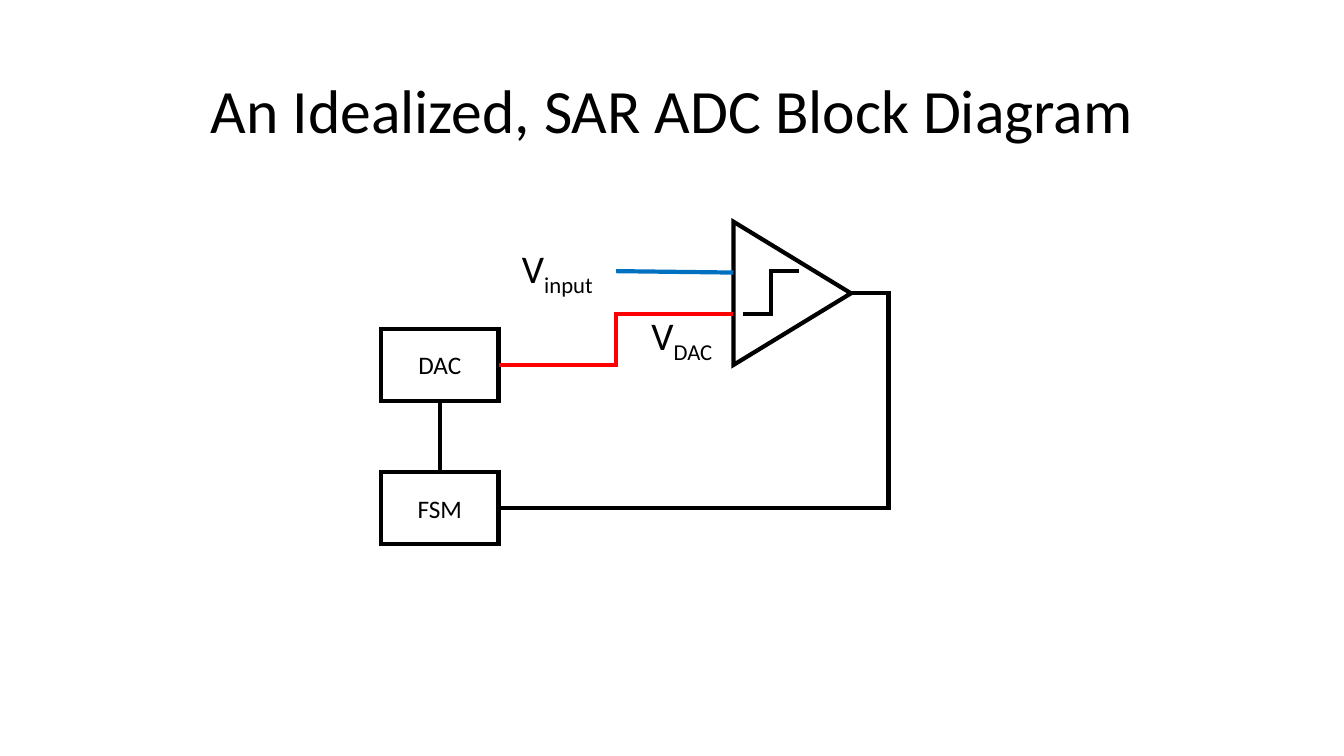
from pptx import Presentation
from pptx.dml.color import RGBColor
from pptx.enum.shapes import MSO_CONNECTOR, MSO_SHAPE
from pptx.enum.text import MSO_ANCHOR, PP_ALIGN
from pptx.oxml.ns import qn
from pptx.util import Inches, Pt
from lxml.etree import SubElement

COLORS = {"ink": "000000", "dac": "FF0000", "input": "0070C0"}
FONT = "Calibri"

# Diagram grid: one cell is the size of a block
LEFT, TOP = 3.78, 2.2
COL_W, ROW_H = 1.165, 0.71
DAC_ROW, FSM_ROW = 1.5, 3.5
COMPARATOR_COL, COMPARATOR_ROWS = 3, 2


def x(col):
    return Inches(LEFT + col * COL_W)


def y(row):
    return Inches(TOP + row * ROW_H)


def rgb(name):
    return RGBColor.from_string(COLORS[name])


def write(tf, text, sub="", size=18, color="ink", spacing=None):
    """Write centred text, with an optional subscript after it."""
    tf.word_wrap = True
    tf.vertical_anchor = MSO_ANCHOR.MIDDLE
    p = tf.paragraphs[0]
    p.alignment = PP_ALIGN.CENTER
    p.line_spacing = spacing
    for part, baseline in ((text, None), (sub, "-25000")):
        if not part:
            continue
        r = p.add_run()
        r.text = part
        r.font.name, r.font.size = FONT, Pt(size)
        r.font.color.rgb = rgb(color)
        if baseline:
            r.font._element.set("baseline", baseline)


def stroke(line, color="ink"):
    line.width = Pt(3)
    line.color.rgb = rgb(color)
    SubElement(line._get_or_add_ln(), qn("a:miter"), lim="800000")


def outline(slide, kind, left, top, width, height):
    sp = slide.shapes.add_shape(kind, left, top, width, height)
    sp.shadow.inherit = False
    sp.fill.background()
    stroke(sp.line)
    return sp


def block(slide, text, row):
    sp = outline(slide, MSO_SHAPE.RECTANGLE, x(0), y(row), Inches(COL_W), Inches(ROW_H))
    write(sp.text_frame, text)
    return sp


def label(slide, text, sub, col, row):
    sp = slide.shapes.add_textbox(x(col), y(row), Inches(COL_W), Inches(ROW_H))
    write(sp.text_frame, text, sub, size=28)


def comparator(slide):
    """Triangle turned to point right; its frame is given before rotation."""
    width, height = Inches(COMPARATOR_ROWS * ROW_H), Inches(COL_W)
    center_x, center_y = x(COMPARATOR_COL + 0.5), y(COMPARATOR_ROWS / 2)
    sp = outline(slide, MSO_SHAPE.ISOSCELES_TRIANGLE,
                 center_x - width // 2, center_y - height // 2, width, height)
    sp.rotation = 90


def wire(slide, start, end, color="ink", kind=MSO_CONNECTOR.ELBOW, bend=None):
    """Join two (column, row) points; bend is the turn's share of the width."""
    cxn = slide.shapes.add_connector(kind, x(start[0]), y(start[1]), x(end[0]), y(end[1]))
    stroke(cxn.line, color)
    sp_pr = cxn._element.spPr
    SubElement(sp_pr, qn("a:effectLst"))
    if bend is not None:
        guides = sp_pr.find(qn("a:prstGeom")).get_or_add_avLst()
        SubElement(guides, qn("a:gd"), name="adj1", fmla=f"val {round(bend * 100000)}")
    return cxn


def main():
    prs = Presentation()
    prs.slide_width, prs.slide_height = Inches(13.33), Inches(7.5)
    slide = prs.slides.add_slide(prs.slide_layouts[5])

    # Title
    title = slide.shapes.title
    title.left, title.top = Inches(0.92), Inches(0.4)
    title.width, title.height = Inches(11.5), Inches(1.45)
    write(title.text_frame, "An Idealized, SAR ADC Block Diagram", size=44, spacing=0.9)

    # Blocks and comparator with its step symbol
    dac = block(slide, "DAC", DAC_ROW)
    fsm = block(slide, "FSM", FSM_ROW)
    comparator(slide)
    wire(slide, (3.08, 1.29), (3.56, 0.69))

    # Wires between the parts
    dac_mid, fsm_mid = DAC_ROW + 0.5, FSM_ROW + 0.5
    dac_out = wire(slide, (1, dac_mid), (COMPARATOR_COL, 1.29), "dac", bend=0.5)
    dac_out.begin_connect(dac, 3)
    feedback = wire(slide, (COMPARATOR_COL + 1, 1), (1, fsm_mid), bend=-0.107)
    feedback.end_connect(fsm, 3)
    control = wire(slide, (0.5, DAC_ROW + 1), (0.5, FSM_ROW), kind=MSO_CONNECTOR.STRAIGHT)
    control.begin_connect(dac, 2)
    control.end_connect(fsm, 0)
    wire(slide, (COMPARATOR_COL, 0.71), (2, 0.69), "input", MSO_CONNECTOR.STRAIGHT)

    # Signal names
    label(slide, "V", "input", 1, 0.19)
    label(slide, "V", "DAC", 2.06, 1.13)

    prs.save("out.pptx")


if __name__ == "__main__":
    main()
